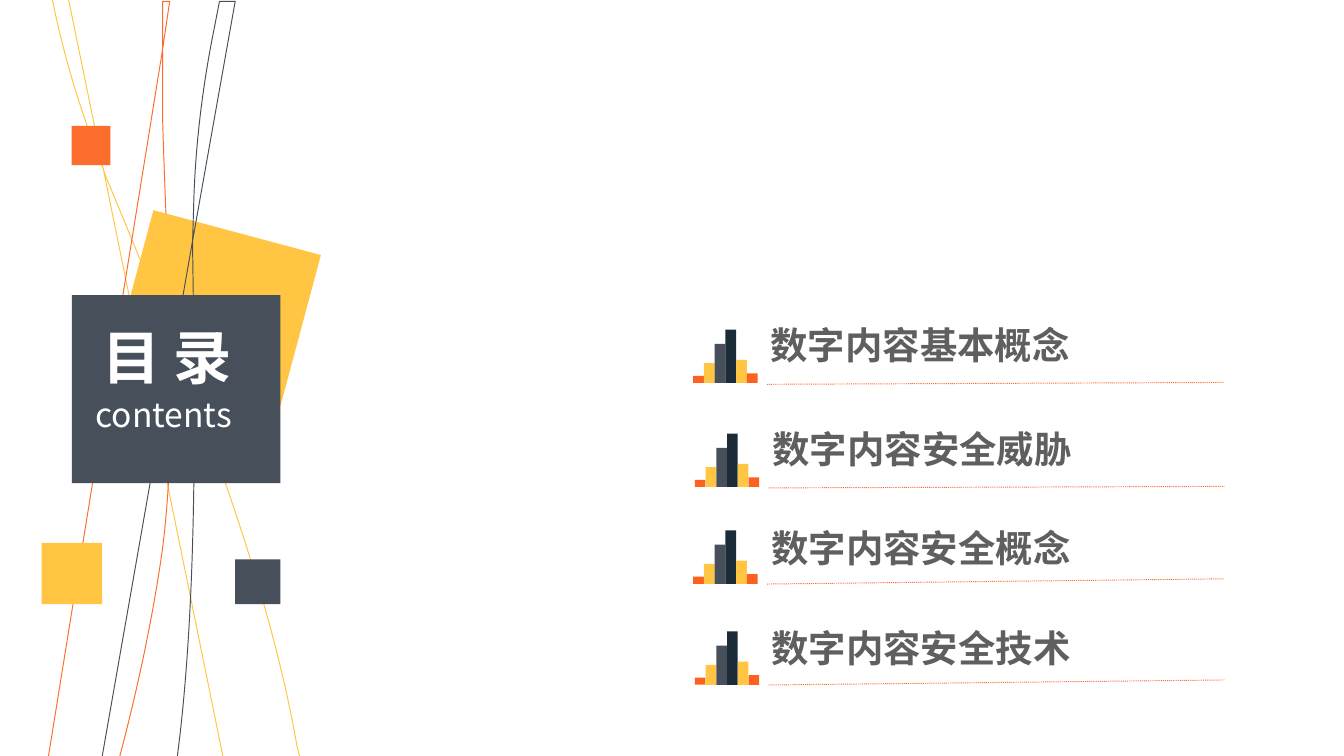
from lxml import etree
from pptx import Presentation
from pptx.dml.color import RGBColor
from pptx.enum.dml import MSO_LINE
from pptx.enum.shapes import MSO_CONNECTOR, MSO_SHAPE
from pptx.enum.text import MSO_ANCHOR, MSO_AUTO_SIZE, PP_ALIGN
from pptx.oxml.ns import qn
from pptx.util import Pt

RECTANGLE = MSO_SHAPE.RECTANGLE
STRAIGHT = MSO_CONNECTOR.STRAIGHT
DOTTED = MSO_LINE.ROUND_DOT
TOP, MIDDLE = MSO_ANCHOR.TOP, MSO_ANCHOR.MIDDLE
LEFT, CENTER = PP_ALIGN.LEFT, PP_ALIGN.CENTER
GROW = MSO_AUTO_SIZE.SHAPE_TO_FIT_TEXT
FIXED = MSO_AUTO_SIZE.NONE

YELLOW = RGBColor(0xFF, 0xC5, 0x43)
ORANGE = RGBColor(0xFC, 0x6C, 0x2C)
BAR_ORANGE = RGBColor(0xFC, 0x61, 0x1F)
SLATE = RGBColor(0x46, 0x4F, 0x5A)
NAVY = RGBColor(0x1C, 0x2B, 0x38)
GRAY = RGBColor(0x5F, 0x5F, 0x5F)
WHITE = RGBColor(0xFF, 0xFF, 0xFF)
FONT = "Noto Sans CJK SC"

# Each ribbon has two closed loops. A pair is a corner; six numbers are a
# cubic curve: two control points and the end point.
YELLOW_RIBBON = [
    [(55.4, 90.7), (56.9, 95), (96.5, 190.1, 142.6, 303.8, 159.1, 399.6),
     (160.6, 405.4), (119.5, 405.4)],
    [(28.1, -0.7), (36.7, -0.7), (55.4, 90.7), (49.7, 75.6),
     (40.3, 50.4, 33.1, 24.5, 28.1, 0)],
]
ORANGE_RIBBON = [
    [(87.1, 26.6), (87.1, 62.6), (89.3, 143.3, 95.8, 224.6, 87.1, 293.8),
     (82.8, 324.7, 75.6, 360.7, 66.2, 397.4), (64.1, 405.4), (25.9, 405.4)],
    [(87.1, 0.7), (90.9, 0.7), (87.1, 26.6), (87.1, 22.3),
     (87.1, 15.8, 87.1, 8.6, 87.1, 2.2)],
]
SLATE_RIBBON = [
    [(103.2, 128.9), (103.2, 133.2), (104.4, 215.3, 105.8, 310.3, 96.5, 393.1),
     (95, 405.4), (54.7, 405.4)],
    [(117.6, 0.7), (126, 0.7), (103.2, 128.9), (103.7, 112.3),
     (104.4, 78.5, 108.7, 45.4, 114.5, 16.6)],
]

# left, top, width, height, colour
SQUARES = [
    (38.4, 67.4, 20.8, 21.1, ORANGE),
    (22.3, 290.8, 32.4, 32.9, YELLOW),
    (126, 299.7, 24.2, 24, SLATE),
    (38.5, 158.1, 111.7, 100.8, SLATE),
]

# text, icon left, icon bottom, text left, text top, text width,
# rule start y, rule end y
TOPICS = [
    ("数字内容基本概念", 371.3, 205.2, 405.7, 177.4, 254, 205.9, 204.9),
    ("数字内容安全威胁", 372.2, 260.9, 406.8, 233.3, 254, 261.4, 260.6),
    ("数字内容安全概念", 371.3, 312.8, 406.2, 286.2, 240.5, 312.9, 310.1),
    ("数字内容安全技术", 372.2, 366.9, 406.2, 339.8, 240.5, 367, 364.3),
]
BARS = [(3.8, BAR_ORANGE), (10.7, YELLOW), (21, SLATE),
        (28.6, NAVY), (12.4, YELLOW), (5.2, BAR_ORANGE)]
BAR_WIDTH = 5.76
RULE_OFFSET, RULE_RIGHT = 39.7, 655.9


def add_rectangle(shapes, left, top, width, height, color, rotation=0):
    shape = shapes.add_shape(RECTANGLE, Pt(left), Pt(top), Pt(width), Pt(height))
    shape.shadow.inherit = False
    shape.fill.solid()
    shape.fill.fore_color.rgb = color
    shape.line.fill.background()
    shape.rotation = rotation


def add_ribbon(shapes, loops, color):
    """Outline the end points of all segments, then bend the curved ones."""
    ends = [[(Pt(segment[-2]), Pt(segment[-1])) for segment in loop] for loop in loops]
    builder = shapes.build_freeform(*ends[0][0])
    builder.add_line_segments(ends[0][1:], close=True)
    builder.move_to(*ends[1][0])
    builder.add_line_segments(ends[1][1:], close=True)
    shape = builder.convert_to_shape()
    shape.shadow.inherit = False
    shape.fill.background()
    shape.line.color.rgb = color
    shape.line.width = Pt(0.5)

    segments = [segment for loop in loops for segment in loop[1:]]
    lines = list(shape._element.iter(qn("a:lnTo")))
    for segment, line in zip(segments, lines):
        if len(segment) == 6:
            line.addprevious(curve := etree.Element(qn("a:cubicBezTo")))
            for x, y in zip(segment[::2], segment[1::2]):
                point = etree.SubElement(curve, qn("a:pt"))
                point.set("x", str(Pt(x) - shape.left))
                point.set("y", str(Pt(y) - shape.top))
            line.getparent().remove(line)


def add_text(shapes, text, left, top, width, height, *, size, color, bold=False,
             align=LEFT, anchor=TOP, insets=(7.2, 3.6), spacing=None, auto_size=FIXED):
    box = shapes.add_textbox(Pt(left), Pt(top), Pt(width), Pt(height))
    frame = box.text_frame
    frame.word_wrap = True
    frame.auto_size = auto_size
    frame.vertical_anchor = anchor
    frame.margin_left = frame.margin_right = Pt(insets[0])
    frame.margin_top = frame.margin_bottom = Pt(insets[1])
    paragraph = frame.paragraphs[0]
    paragraph.alignment = align
    paragraph.line_spacing = spacing
    run = paragraph.add_run()
    run.text = text
    run.font.size = Pt(size)
    run.font.bold = bold
    run.font.color.rgb = color
    run.font.name = FONT
    east_asian = etree.SubElement(run.font._element, qn("a:ea"))
    east_asian.set("typeface", FONT)


def add_icon(shapes, left, bottom):
    group = shapes.add_group_shape()
    for index, (height, color) in enumerate(BARS):
        add_rectangle(group.shapes, left + index * BAR_WIDTH, bottom - height,
                      BAR_WIDTH, height, color)


def add_rule(shapes, left, start_y, end_y):
    rule = shapes.add_connector(STRAIGHT, Pt(left), Pt(start_y), Pt(RULE_RIGHT), Pt(end_y))
    rule.line.color.rgb = ORANGE
    rule.line.width = Pt(0.5)
    rule.line.dash_style = DOTTED
    etree.SubElement(rule._element.spPr, qn("a:effectLst"))


def main():
    presentation = Presentation()
    presentation.slide_width, presentation.slide_height = Pt(720), Pt(405)
    slide = presentation.slides.add_slide(presentation.slide_layouts[6])
    shapes = slide.shapes

    add_ribbon(shapes, YELLOW_RIBBON, YELLOW)
    add_ribbon(shapes, ORANGE_RIBBON, ORANGE)
    add_rectangle(shapes, 69.1, 123.1, 92.9, 89.3, YELLOW, rotation=15)
    add_ribbon(shapes, SLATE_RIBBON, SLATE)
    for square in SQUARES:
        add_rectangle(shapes, *square)

    heading = dict(color=WHITE, anchor=MIDDLE, insets=(5, 2.5))
    add_text(shapes, "contents", 46.1, 209.5, 95, 24.5, size=18, **heading)
    add_text(shapes, "目 录", 40.6, 168.8, 97.9, 43.9, size=31.2, bold=True,
             align=CENTER, **heading)

    for text, icon_left, bottom, text_left, text_top, width, start_y, end_y in TOPICS:
        add_icon(shapes, icon_left, bottom)
        add_text(shapes, text, text_left, text_top, width, 23, size=20, color=GRAY,
                 bold=True, spacing=0.6, auto_size=GROW)
        add_rule(shapes, icon_left + RULE_OFFSET, start_y, end_y)

    presentation.save("out.pptx")


if __name__ == "__main__":
    main()
